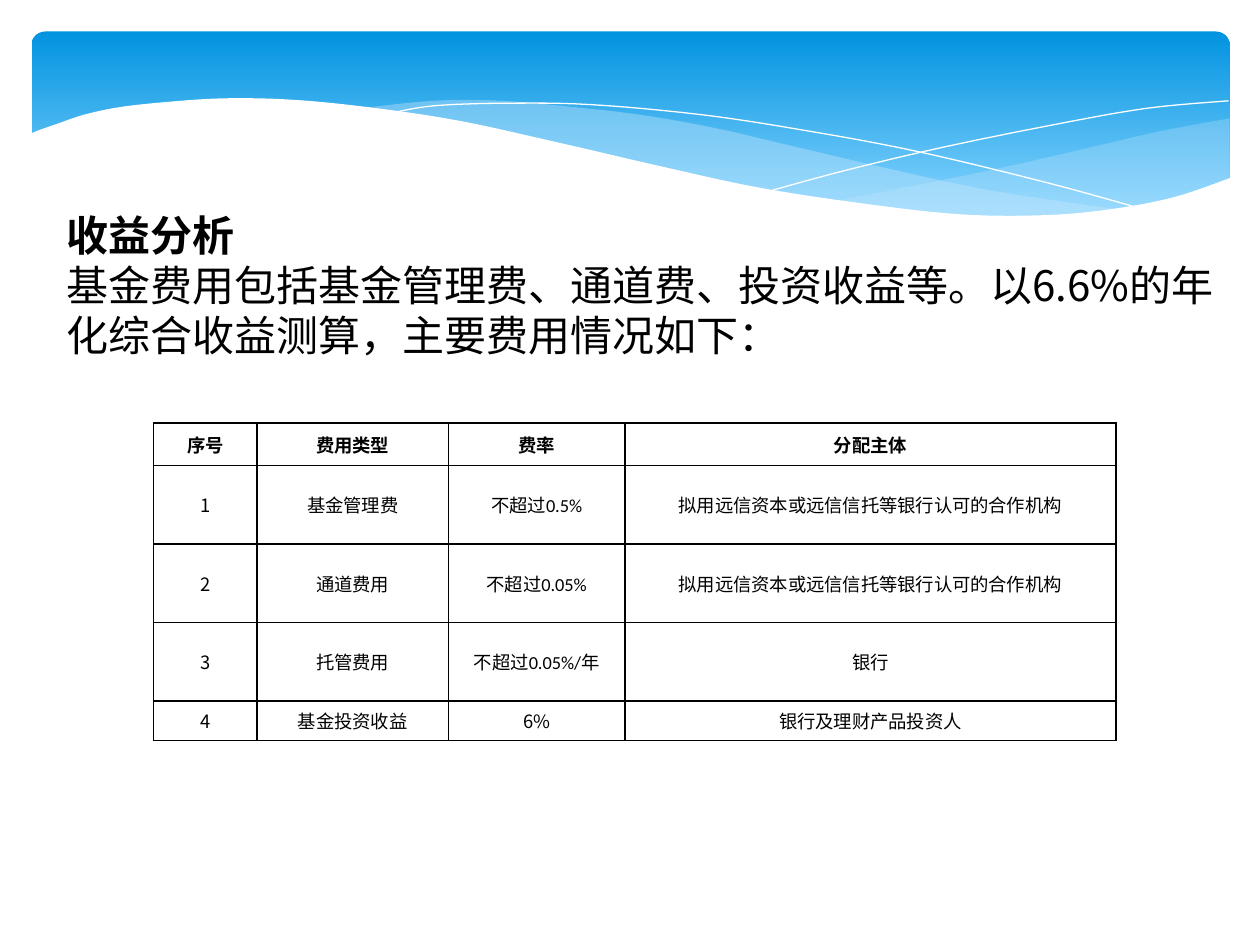
"""Build the fund income analysis slide with its wave banner and fee table."""

import dataclasses

import lxml.etree
import pptx
import pptx.dml.color
import pptx.enum.shapes
import pptx.enum.text
import pptx.oxml.ns
import pptx.util

Pt = pptx.util.Pt
qn = pptx.oxml.ns.qn
ALIGN = pptx.enum.text.PP_ALIGN
ANCHOR = pptx.enum.text.MSO_ANCHOR


@dataclasses.dataclass(frozen=True)
class Theme:
    ink: str = "000000"
    white: str = "FFFFFF"
    banner_top: str = "0293E0"
    banner_bottom: str = "83D3FE"
    veil: str = "C6E7FC"
    font: str = "Noto Sans CJK SC"
    table_font: str = "Calibri"
    body_size: float = 24
    line_pitch: float = 28.8
    table_size: float = 10.5
    border_width: float = 1


def rgb(code):
    return pptx.dml.color.RGBColor.from_string(code)


def write_text(para, text, *, font, east_font, size, color, bold=False,
               align=ALIGN.LEFT, pitch=None):
    para.alignment = align
    if pitch:
        para.line_spacing = Pt(pitch)
    span = para.add_run()
    span.text = text
    span.font.name = font
    span.font.size = Pt(size)
    span.font.bold = bold
    span.font.color.rgb = rgb(color)
    east = lxml.etree.SubElement(span.font._element, qn("a:ea"))
    east.set("typeface", east_font)


def smooth_curve(points, steps=6):
    padded = [points[0], *points, points[-1]]
    curve = [points[0]]
    for a, b, c, d in zip(padded, padded[1:], padded[2:], padded[3:]):
        for step in range(1, steps + 1):
            t = step / steps
            curve.append(tuple(
                0.5 * (2 * q + (r - p) * t + (2 * p - 5 * q + 4 * r - s) * t ** 2
                       + (3 * q - p - 3 * r + s) * t ** 3)
                for p, q, r, s in zip(a, b, c, d)))
    return curve


class SlideBuilder:
    def __init__(self, page, theme):
        self.page = page
        self.theme = theme

    def banner(self, left, top, width, height):
        shape = self.page.shapes.add_shape(
            pptx.enum.shapes.MSO_SHAPE.ROUNDED_RECTANGLE,
            Pt(left), Pt(top), Pt(width), Pt(height))
        shape.adjustments[0] = 0.07
        shape.shadow.inherit = False
        shape.line.fill.background()
        shape.fill.gradient()
        shape.fill.gradient_angle = 270
        colors = (self.theme.banner_top, self.theme.banner_bottom)
        for stop, color, position in zip(shape.fill.gradient_stops, colors, (0, 0.9)):
            stop.color.rgb = rgb(color)
            stop.position = position

    def outline(self, group, points, fill=None, opacity=None, line=None):
        start, *rest = [(Pt(x), Pt(y)) for x, y in points]
        builder = group.shapes.build_freeform(*start, scale=1.0)
        builder.add_line_segments(rest, close=fill is not None)
        shape = builder.convert_to_shape()
        shape.shadow.inherit = False
        if fill:
            shape.fill.solid()
            shape.fill.fore_color.rgb = rgb(fill)
        else:
            shape.fill.background()
        if opacity:
            color = shape.element.spPr.find(f"{qn('a:solidFill')}/{qn('a:srgbClr')}")
            lxml.etree.SubElement(color, qn("a:alpha")).set("val", str(opacity * 1000))
        if line:
            shape.line.color.rgb = rgb(line)
            shape.line.width = Pt(0)
        else:
            shape.line.fill.background()

    def fill_frame(self, box, text, bold=False):
        frame = box.text_frame
        frame.word_wrap = True
        frame.auto_size = pptx.enum.text.MSO_AUTO_SIZE.NONE
        frame.vertical_anchor = ANCHOR.TOP
        frame.margin_left = frame.margin_right = Pt(7.2)
        frame.margin_top, frame.margin_bottom = Pt(6.5), Pt(0)
        theme = self.theme
        write_text(frame.paragraphs[0], text, font=theme.font, east_font=theme.font,
                   size=theme.body_size, color=theme.ink, bold=bold,
                   pitch=theme.line_pitch)

    def title(self, text, left, top, width, height):
        box = self.page.shapes.title
        box.left, box.top, box.width, box.height = map(Pt, (left, top, width, height))
        box.element.getparent().append(box.element)
        self.fill_frame(box, text, bold=True)

    def text(self, text, left, top, width, height):
        box = self.page.shapes.add_textbox(Pt(left), Pt(top), Pt(width), Pt(height))
        self.fill_frame(box, text)

    def table(self, rows, left, top, widths, heights):
        theme = self.theme
        table = self.page.shapes.add_table(
            len(rows), len(widths), Pt(left), Pt(top),
            Pt(sum(widths)), Pt(sum(heights))).table
        table.first_row = table.horz_banding = False
        for column, width in zip(table.columns, widths):
            column.width = Pt(width)
        for row, height in zip(table.rows, heights):
            row.height = Pt(height)
        for i, values in enumerate(rows):
            for j, value in enumerate(values):
                cell = table.cell(i, j)
                cell.vertical_anchor = ANCHOR.MIDDLE
                cell.margin_left = cell.margin_right = Pt(5)
                cell.margin_top = cell.margin_bottom = Pt(0)
                cell.fill.background()
                self.cell_borders(cell)
                plain_number = value.rstrip("%").isdigit()
                write_text(cell.text_frame.paragraphs[0], value,
                           font=theme.font if plain_number else theme.table_font,
                           east_font=theme.font, size=theme.table_size,
                           color=theme.ink, bold=i == 0, align=ALIGN.CENTER)

    def cell_borders(self, cell):
        properties = cell._tc.get_or_add_tcPr()
        for index, side in enumerate(("lnL", "lnR", "lnT", "lnB")):
            border = lxml.etree.Element(qn(f"a:{side}"))
            border.set("w", str(Pt(self.theme.border_width)))
            fill = lxml.etree.SubElement(border, qn("a:solidFill"))
            lxml.etree.SubElement(fill, qn("a:srgbClr")).set("val", self.theme.ink)
            properties.insert(index, border)


RIGHT_VEIL_TOP = [(702.7, 67.7), (663, 75), (620, 85), (579.6, 94.3),
                  (542.2, 102.2), (476, 115.2)]
RIGHT_VEIL_BASE = [(476, 115.2), (517.7, 120.2), (554, 123), (586, 123.8),
                   (615, 122.4), (645.8, 118.8), (673, 112.3), (702.7, 101.5)]
LEFT_VEIL_TOP = [(643, 120.2), (602.6, 114.5), (558, 107.3), (508.3, 96.5),
                 (452.9, 83.5), (409.7, 73.4), (370, 66.2), (334.8, 61.9),
                 (287.3, 57.6), (247.7, 57.6), (206, 61.9)]
LEFT_VEIL_BASE = [(206, 61.9), (246, 67.7), (290.9, 76.3), (353.5, 90.7),
                  (407.5, 103), (456.5, 112.3), (500.4, 118.8), (538.6, 122.4),
                  (573, 124.6), (610.6, 123.8), (643, 120.2)]
FALLING_LINE = [(222.5, 64.8), (247.7, 60.5), (288.7, 59), (337.7, 59.8),
                (400.3, 65.5), (457.9, 74.2), (523.4, 86.4), (598.3, 104.4),
                (653, 119.5)]
RISING_LINE = [(441.4, 108.7), (483.8, 97.2), (538.6, 84.2), (602, 71.3),
               (655.2, 61.9), (702, 57.6)]
WAVE_TOP = [(703.4, 101.5), (669.6, 113), (630, 120.2), (592.6, 123.1),
            (547.9, 122.4), (495.4, 116.6), (434.2, 107.3), (380.9, 95.8),
            (321.8, 82.1), (262.8, 69.1), (210.2, 61.2), (165.6, 56.9),
            (127.4, 56.2), (95, 58.3), (68.4, 61.2), (48.2, 65.5),
            (33.1, 70.6), (20.9, 74.9), (16.6, 77)]
WAVE_BASE = [(16.6, 161), (703.4, 161)]

PARTNERS = "拟用远信资本或远信信托等银行认可的合作机构"
FEES = [
    ("序号", "费用类型", "费率", "分配主体"),
    ("1", "基金管理费", "不超过0.5%", PARTNERS),
    ("2", "通道费用", "不超过0.05%", PARTNERS),
    ("3", "托管费用", "不超过0.05%/年", "银行"),
    ("4", "基金投资收益", "6%", "银行及理财产品投资人"),
]


def main():
    deck = pptx.Presentation()
    deck.slide_width, deck.slide_height = Pt(720), Pt(540)
    theme = Theme()
    builder = SlideBuilder(deck.slides.add_slide(deck.slide_layouts[5]), theme)
    builder.banner(18, 18, 684.7, 112.3)
    waves = builder.page.shapes.add_group_shape()
    for top, base, opacity in ((RIGHT_VEIL_TOP, RIGHT_VEIL_BASE, 29),
                               (LEFT_VEIL_TOP, LEFT_VEIL_BASE, 40)):
        builder.outline(waves, smooth_curve(top) + smooth_curve(base),
                        fill=theme.veil, opacity=opacity)
    for points in (FALLING_LINE, RISING_LINE):
        builder.outline(waves, smooth_curve(points), line=theme.white)
    builder.outline(waves, smooth_curve(WAVE_TOP) + WAVE_BASE, fill=theme.white)
    left, top, width = 31, 113, 680.4
    builder.title("收益分析", left, top, width, 36)
    builder.text("基金费用包括基金管理费、通道费、投资收益等。以6.6%的年化综合收益测算，主要费用情况如下：",
                 left, top + theme.line_pitch, width, 65.5)
    builder.table(FEES, 87.8, 241.8, (59.1, 109.4, 100.9, 280.6),
                  (24.2, 44.9, 44.9, 44.9, 22.5))
    deck.save("out.pptx")


if __name__ == "__main__":
    main()
